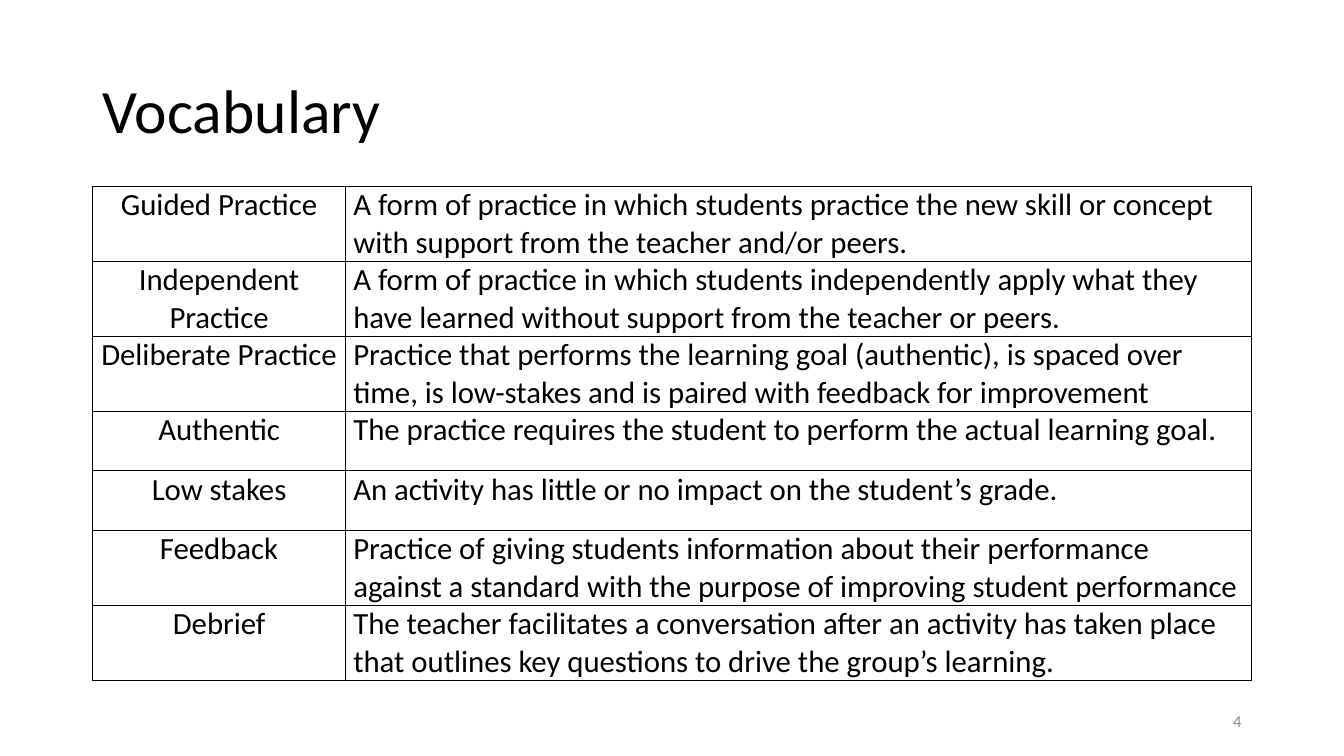
"""Build the vocabulary slide with its table of terms."""
import pptx
import pptx.util
import pptx.dml.color
import pptx.enum.text
import pptx.oxml
import pptx.oxml.ns

Pt = pptx.util.Pt
ALIGN = pptx.enum.text.PP_ALIGN
ANCHOR = pptx.enum.text.MSO_ANCHOR
COLORS = {"ink": "000000", "page": "8C8C8C"}
LEFT, WIDE = 66, 828
TERMS = [
    ("Guided Practice", "A form of practice in which students practice the new skill or concept with support from the teacher and/or peers."),
    ("Independent Practice", "A form of practice in which students independently apply what they have learned without support from the teacher or peers."),
    ("Deliberate Practice", "Practice that performs the learning goal (authentic), is spaced over time, is low-stakes and is paired with feedback for improvement"),
    ("Authentic", "The practice requires the student to perform the actual learning goal."),
    ("Low stakes", "An activity has little or no impact on the student’s grade."),
    ("Feedback", "Practice of giving students information about their performance against a standard with the purpose of improving student performance"),
    ("Debrief", "The teacher facilitates a conversation after an activity has taken place that outlines key questions to drive the group’s learning."),
]


def write(frame, text, size, color, align):
    """Set one paragraph of text and format it."""
    frame.text = text
    frame.word_wrap = True
    para = frame.paragraphs[0]
    para.alignment = align
    font = para.runs[0].font
    font.name, font.size, font.bold = "Calibri", Pt(size), False
    font.color.rgb = pptx.dml.color.RGBColor.from_string(COLORS[color])
    return para


def border(cell):
    """Draw a thin line on every side of a cell."""
    props = cell._tc.get_or_add_tcPr()
    for side in ("lnL", "lnR", "lnT", "lnB"):
        props.append(pptx.oxml.parse_xml(
            f'<a:{side} {pptx.oxml.ns.nsdecls("a")} w="{Pt(1)}"><a:solidFill>'
            f'<a:srgbClr val="{COLORS["ink"]}"/></a:solidFill></a:{side}>'))


deck = pptx.Presentation()
deck.slide_width, deck.slide_height = Pt(960), Pt(540)
slide = deck.slides.add_slide(deck.slide_layouts[5])

title = slide.shapes.title
title.left, title.top, title.width, title.height = Pt(LEFT), Pt(28.8), Pt(WIDE), Pt(104.4)
para = write(title.text_frame, "Vocabulary", 44, "ink", ALIGN.LEFT)
para.line_spacing = 0.9
title.text_frame.vertical_anchor = ANCHOR.MIDDLE
title.text_frame.auto_size = pptx.enum.text.MSO_AUTO_SIZE.NONE

high = 42.5
table = slide.shapes.add_table(len(TERMS), 2, Pt(LEFT), Pt(133.2), Pt(WIDE), Pt(high * len(TERMS))).table
table.first_row = table.horz_banding = False
table.columns[0].width, table.columns[1].width = Pt(181), Pt(WIDE - 181)
for row, term in zip(table.rows, TERMS):
    row.height = Pt(high)
    for cell, text, align in zip(row.cells, term, (ALIGN.CENTER, ALIGN.LEFT)):
        cell.margin_left = cell.margin_right = Pt(5.4)
        cell.margin_top = cell.margin_bottom = Pt(0)
        para = write(cell.text_frame, text, 22, "ink", align)
        para.space_before = para.space_after = Pt(6)
        border(cell)
        cell.fill.background()

page = slide.shapes.add_textbox(Pt(678), Pt(500.5), Pt(216), Pt(28.75))
write(page.text_frame, "4", 12, "page", ALIGN.RIGHT)
page.text_frame.vertical_anchor = ANCHOR.MIDDLE

deck.save("out.pptx")
